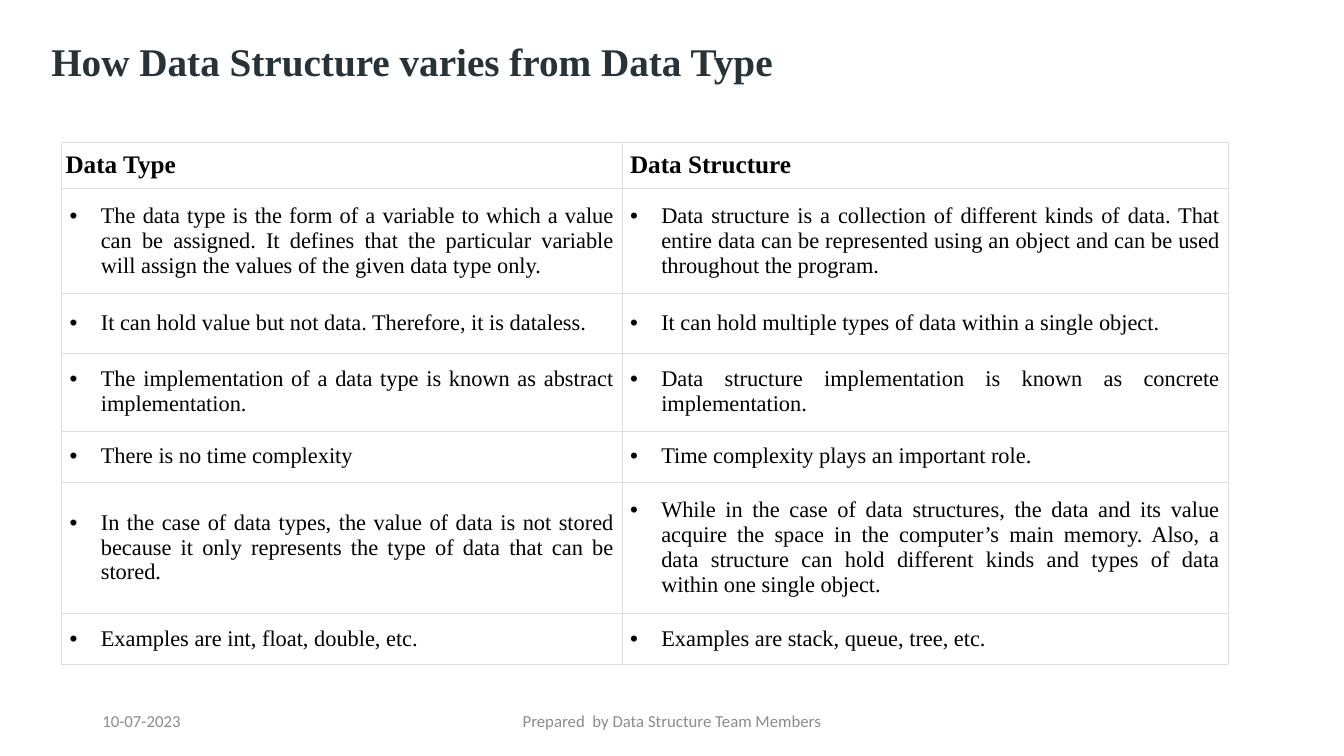
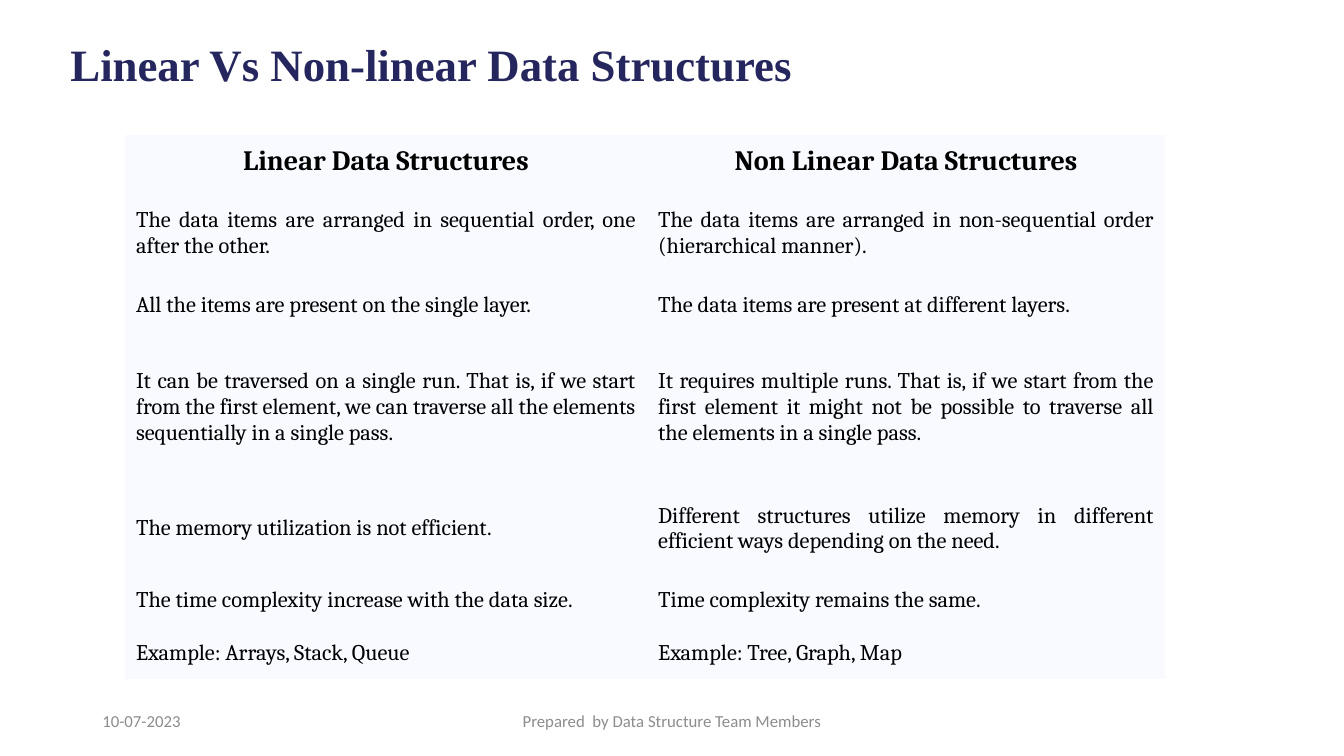
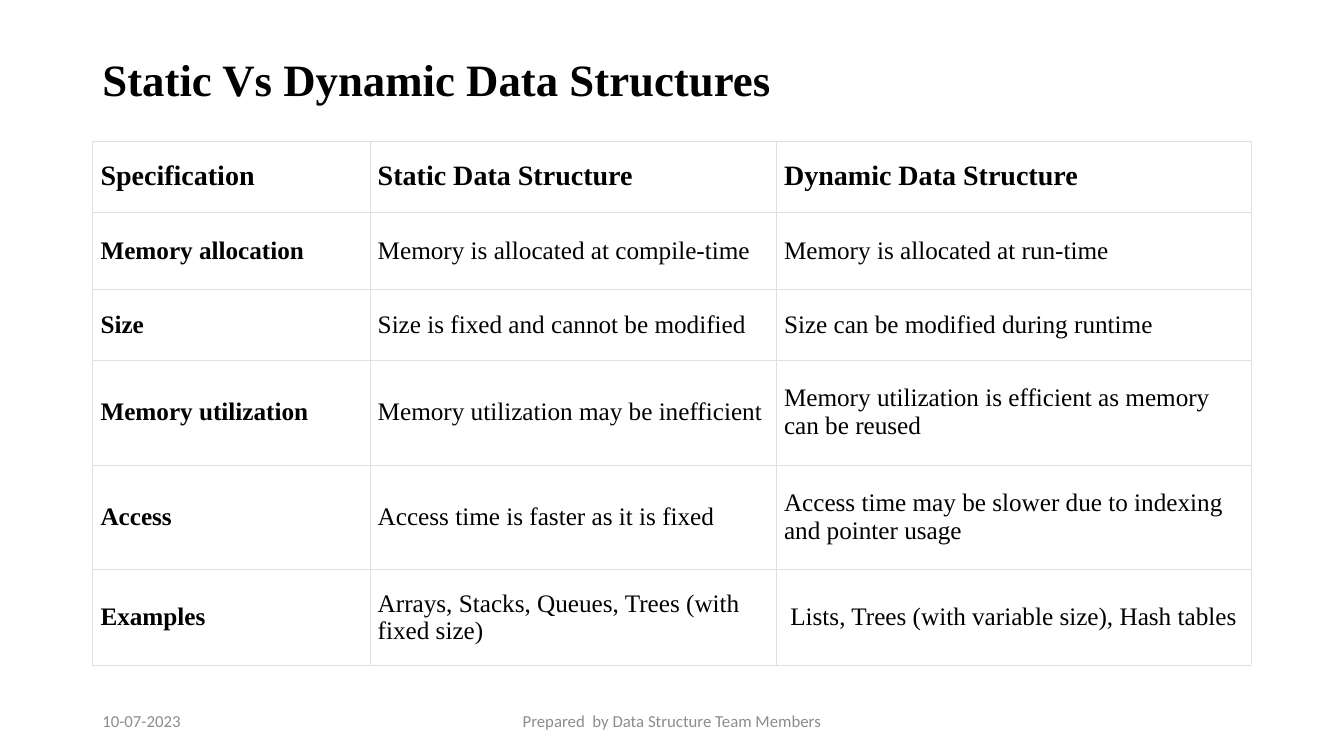
from dataclasses import dataclass

from lxml import etree
from pptx import Presentation
from pptx.dml.color import RGBColor
from pptx.enum.text import MSO_ANCHOR, PP_ALIGN
from pptx.oxml.ns import qn
from pptx.util import Emu, Inches, Pt

LEFT, CENTER, JUSTIFY = PP_ALIGN.LEFT, PP_ALIGN.CENTER, PP_ALIGN.JUSTIFY
TOP, MIDDLE = MSO_ANCHOR.TOP, MSO_ANCHOR.MIDDLE

WIDTH, HEIGHT = Inches(13.33), Inches(7.5)
BLANK_LAYOUT = 6
SERIF, HEADING_SERIF, SANS = "Times New Roman", "Cambria", "Calibri"
COLORS = {
    "black": "000000",
    "white": "FFFFFF",
    "slate": "273239",
    "navy": "25265E",
    "pale": "F8FAFF",
    "rule": "DFDFDF",
    "muted": "8C8C8C",
}
BORDER_WIDTH = Pt(0.18)
BULLET_INDENT = Inches(0.31)
ROOMY = (0.08, 0.12, 0.08, 0.12)

TYPE_ROWS = [
    ("Data Type", "Data Structure"),
    ("The data type is the form of a variable to which a value can be assigned. It defines that "
     "the particular variable will assign the values of the given data type only.",
     "Data structure is a collection of different kinds of data. That entire data can be "
     "represented using an object and can be used throughout the program."),
    ("It can hold value but not data. Therefore, it is dataless.",
     "It can hold multiple types of data within a single object."),
    ("The implementation of a data type is known as abstract implementation.",
     "Data structure implementation is known as concrete implementation."),
    ("There is no time complexity", "Time complexity plays an important role."),
    ("In the case of data types, the value of data is not stored because it only represents "
     "the type of data that can be stored.",
     "While in the case of data structures, the data and its value acquire the space in the "
     "computer’s main memory. Also, a data structure can hold different kinds and types of "
     "data within one single object."),
    ("Examples are int, float, double, etc.", "Examples are stack, queue, tree, etc."),
]
LINEAR_ROWS = [
    ("Linear Data Structures", "Non Linear Data Structures"),
    ("The data items are arranged in sequential order, one after the other.",
     "The data items are arranged in non-sequential order (hierarchical manner)."),
    ("All the items are present on the single layer.",
     "The data items are present at different layers."),
    ("It can be traversed on a single run. That is, if we start from the first element, we can "
     "traverse all the elements sequentially in a single pass.",
     "It requires multiple runs. That is, if we start from the first element it might not be "
     "possible to traverse all the elements in a single pass."),
    ("The memory utilization is not efficient.",
     "Different structures utilize memory in different efficient ways depending on the need."),
    ("The time complexity increase with the data size.", "Time complexity remains the same."),
    ("Example: Arrays, Stack, Queue", "Example: Tree, Graph, Map"),
]
STATIC_ROWS = [
    ("Specification", "Static Data Structure", "Dynamic Data Structure"),
    ("Memory allocation", "Memory is allocated at compile-time",
     "Memory is allocated at run-time"),
    ("Size", "Size is fixed and cannot be modified", "Size can be modified during runtime"),
    ("Memory utilization", "Memory utilization may be inefficient",
     "Memory utilization is efficient as memory can be reused"),
    ("Access", "Access time is faster as it is fixed",
     "Access time may be slower due to indexing and pointer usage"),
    ("Examples", "Arrays, Stacks, Queues, Trees (with fixed size)",
     " Lists, Trees (with variable size), Hash tables"),
]


@dataclass
class TableStyle:
    font: str
    header_size: int
    body_size: int
    fill: str = "white"
    border: str = ""
    header_align: int = LEFT
    body_align: int = LEFT
    header_insets: tuple = (ROOMY,)
    body_insets: tuple = ROOMY
    bulleted: bool = False
    bold_first_column: bool = False


def across(percent):
    return Emu(round(WIDTH * percent / 100))


def down(percent):
    return Emu(round(HEIGHT * percent / 100))


def color(name):
    return RGBColor.from_string(COLORS[name])


def add_span(para, text, font, size, ink, bold=False):
    span = para.add_run()
    span.text = text
    span.font.name = font
    span.font.size = Pt(size)
    span.font.bold = bold
    span.font.color.rgb = color(ink)


def add_text(page, place, text, font, size, ink, bold=False,
             align=LEFT, anchor=MIDDLE, spacing=1.0):
    left, top, width, height = place
    box = page.shapes.add_textbox(across(left), down(top), across(width), down(height))
    box.text_frame.word_wrap = True
    box.text_frame.vertical_anchor = anchor
    para = box.text_frame.paragraphs[0]
    para.alignment = align
    para.line_spacing = spacing
    add_span(para, text, font, size, ink, bold)


def add_title(page, place, text, ink, size=32, anchor=MIDDLE, spacing=0.9):
    add_text(page, place, text, SERIF, size, ink, True, LEFT, anchor, spacing)


def add_footer(page):
    add_text(page, (6.88, 92.67, 22.5, 5.33), "10-07-2023", SANS, 12, "muted")
    add_text(page, (33.13, 92.67, 33.75, 5.33), "Prepared  by Data Structure Team Members",
             SANS, 12, "muted", align=CENTER)


def set_borders(cell, border):
    properties = cell._tc.get_or_add_tcPr()
    for position, side in enumerate(("a:lnL", "a:lnR", "a:lnT", "a:lnB")):
        line = etree.Element(qn(side), w=str(int(BORDER_WIDTH)))
        if border:
            solid = etree.SubElement(line, qn("a:solidFill"))
            etree.SubElement(solid, qn("a:srgbClr"), val=COLORS[border])
        else:
            etree.SubElement(line, qn("a:noFill"))
        properties.insert(position, line)


def set_bullet(para):
    properties = para._p.get_or_add_pPr()
    properties.set("marL", str(int(BULLET_INDENT)))
    properties.set("indent", str(-int(BULLET_INDENT)))
    etree.SubElement(properties, qn("a:buFont"), typeface="Arial")
    etree.SubElement(properties, qn("a:buChar"), char="•")


def fill_cell(cell, text, style, row, column):
    header = row == 0
    insets = style.body_insets
    if header:
        insets = style.header_insets[min(column, len(style.header_insets) - 1)]
    cell.margin_left, cell.margin_top, cell.margin_right, cell.margin_bottom = map(Inches, insets)
    cell.vertical_anchor = MIDDLE
    cell.fill.solid()
    cell.fill.fore_color.rgb = color(style.fill)
    set_borders(cell, style.border)
    para = cell.text_frame.paragraphs[0]
    para.alignment = style.header_align if header else style.body_align
    if style.bulleted and not header:
        set_bullet(para)
    bold = header or (style.bold_first_column and column == 0)
    size = style.header_size if header else style.body_size
    add_span(para, text, style.font, size, "black", bold)


def add_comparison(page, left, top, columns, heights, rows, style):
    frame = page.shapes.add_table(len(rows), len(columns), across(left), down(top),
                                  across(sum(columns)), down(sum(heights)))
    table = frame.table
    table.first_row = False
    table.horz_banding = False
    for column, width in zip(table.columns, columns):
        column.width = across(width)
    for row, height in zip(table.rows, heights):
        row.height = down(height)
    for row, texts in enumerate(rows):
        for column, text in enumerate(texts):
            fill_cell(table.cell(row, column), text, style, row, column)


def add_page(deck):
    page = deck.slides.add_slide(deck.slide_layouts[BLANK_LAYOUT])
    add_footer(page)
    return page


def build_type_page(deck):
    page = add_page(deck)
    style = TableStyle(SERIF, 18, 16, border="rule", header_align=JUSTIFY, body_align=JUSTIFY,
                       header_insets=((0.04, 0.08, 0.04, 0.08), (0.08,) * 4), bulleted=True)
    add_comparison(page, 4.58, 18.8, (41.7, 45.08),
                   (4.4, 13.47, 7.87, 7.87, 5.87, 13.47, 5.07), TYPE_ROWS, style)
    add_title(page, (3.08, 4.27, 63.83, 7.6), "How Data Structure varies from Data Type",
              "slate", size=28, anchor=TOP, spacing=1.0)


def build_linear_page(deck):
    page = add_page(deck)
    insets = (0.11, 0.06, 0.11, 0.06)
    style = TableStyle(HEADING_SERIF, 20, 16, fill="pale", header_align=CENTER,
                       body_align=JUSTIFY, header_insets=(insets,), body_insets=insets)
    add_comparison(page, 9.3, 17.87, (38.85, 38.55),
                   (6.93, 12.13, 6.93, 20, 12.13, 6.93, 6.93), LINEAR_ROWS, style)
    add_title(page, (4.5, 1.87, 86.25, 14), "Linear Vs Non-linear Data Structures", "navy")


def build_static_page(deck):
    page = add_page(deck)
    style = TableStyle(SERIF, 20, 18, border="rule", bold_first_column=True)
    add_comparison(page, 6.88, 18.67, (20.63, 30.23, 35.33),
                   (9.33, 10.27, 9.33, 13.87, 13.87, 12.67), STATIC_ROWS, style)
    add_title(page, (6.88, 4.67, 86.25, 12.4), "Static Vs Dynamic Data Structures", "black")


def main():
    deck = Presentation()
    deck.slide_width, deck.slide_height = WIDTH, HEIGHT
    build_type_page(deck)
    build_linear_page(deck)
    build_static_page(deck)
    deck.save("out.pptx")


if __name__ == "__main__":
    main()
